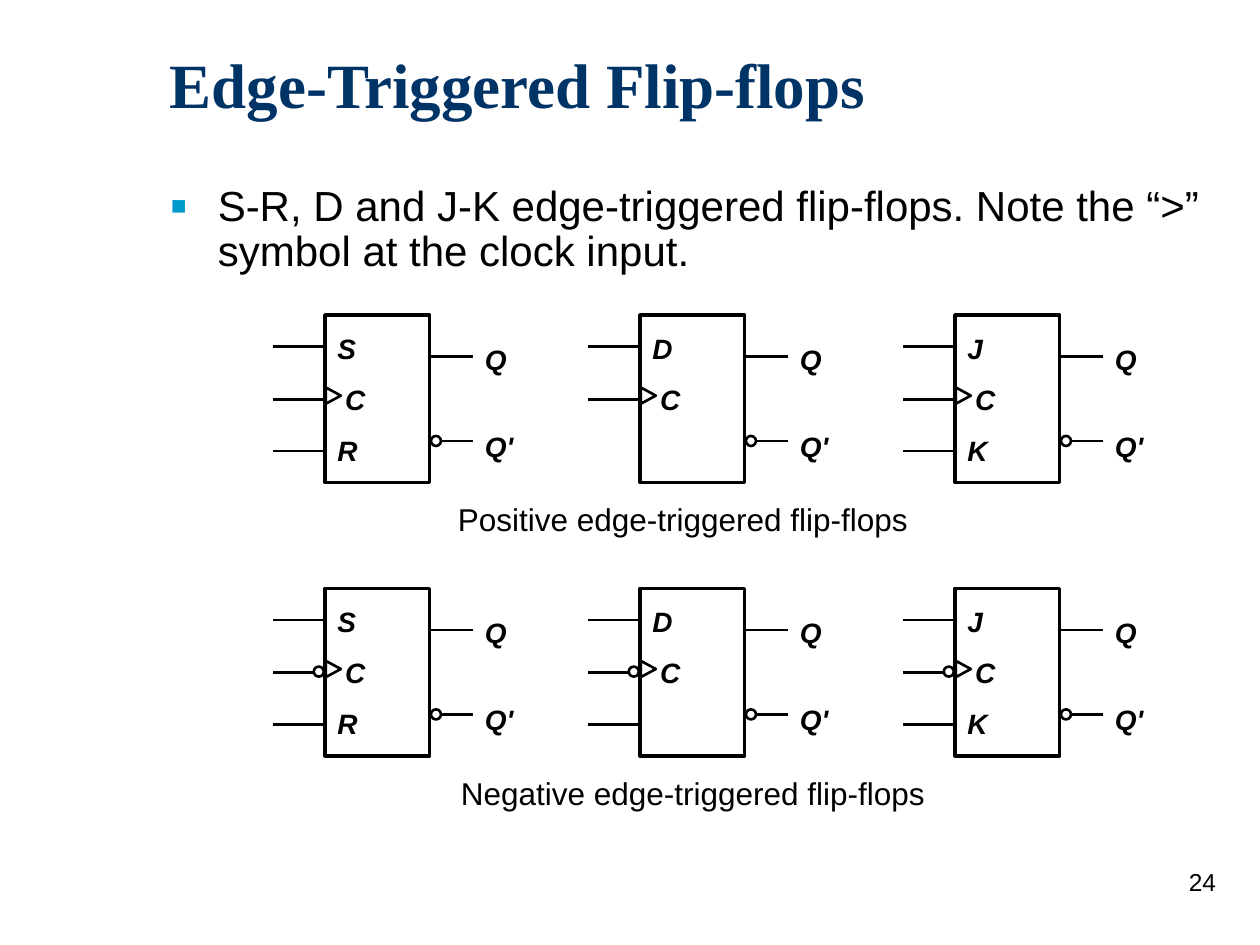
from lxml import etree
from pptx import Presentation
from pptx.dml.color import RGBColor
from pptx.enum.shapes import MSO_CONNECTOR, MSO_SHAPE
from pptx.enum.text import MSO_ANCHOR, PP_ALIGN
from pptx.oxml.ns import qn
from pptx.util import Inches, Pt

RECTANGLE = MSO_SHAPE.RECTANGLE
OVAL = MSO_SHAPE.OVAL
TRIANGLE = MSO_SHAPE.ISOSCELES_TRIANGLE
STRAIGHT = MSO_CONNECTOR.STRAIGHT
MIDDLE = MSO_ANCHOR.MIDDLE
CENTER = PP_ALIGN.CENTER
RIGHT = PP_ALIGN.RIGHT

INK = "000000"
NAVY = "003366"
BULLET_BLUE = "0099CC"
PIN_FONT = {"size": Pt(16), "bold": True, "italic": True}
BUBBLE = 0.08
COLUMN_LEFT, COLUMN_STEP = 2.58, 2.5
BODY_WIDTH, BODY_HEIGHT = 0.83, 1.33
LEAD = 0.41
INPUT_OFFSETS = (0.25, 0.67, 1.08)
CLOCK_OFFSET = INPUT_OFFSETS[1]
FLIP_FLOPS = (("S", "R"), ("D", None), ("J", "K"))
ROWS = (
    (2.5, False, 3.42, "Positive edge-triggered flip-flops"),
    (4.67, True, 3.5, "Negative edge-triggered flip-flops"),
)


def color(hex_value):
    return RGBColor.from_string(hex_value)


def apply_format(target, values):
    for attribute, value in values.items():
        setattr(target, attribute, value)


def add_text(shapes, bounds, lines, font, paragraph_format, ink=INK, face="Arial", anchor=None):
    label = shapes.add_textbox(*map(Inches, bounds))
    frame = label.text_frame
    frame.word_wrap = True
    if anchor is not None:
        frame.vertical_anchor = anchor
    for index, line in enumerate(lines):
        paragraph = frame.add_paragraph() if index else frame.paragraphs[0]
        apply_format(paragraph, paragraph_format)
        run = paragraph.add_run()
        run.text = line
        apply_format(run.font, {"name": face, **font})
        run.font.color.rgb = color(ink)
    return frame.paragraphs


def set_indent(paragraph, left, first=0):
    properties = paragraph._p.get_or_add_pPr()
    properties.set("marL", str(Inches(left)))
    properties.set("indent", str(Inches(first)))
    return properties


def add_bullet(paragraph, character, hex_value):
    properties = set_indent(paragraph, 0.38, -0.38)
    bullet_color = etree.SubElement(properties, qn("a:buClr"))
    etree.SubElement(bullet_color, qn("a:srgbClr"), val=hex_value)
    etree.SubElement(properties, qn("a:buSzPct"), val="120000")
    etree.SubElement(properties, qn("a:buFont"), typeface="Arial")
    etree.SubElement(properties, qn("a:buChar"), char=character)


def add_outline(shapes, kind, bounds, weight=1.5, rotation=0):
    outline = shapes.add_shape(kind, *map(Inches, bounds))
    outline.shadow.inherit = False
    outline.fill.background()
    outline.line.color.rgb = color(INK)
    outline.line.width = Pt(weight)
    outline.rotation = rotation


def add_wire(shapes, start, end, y):
    wire = shapes.add_connector(STRAIGHT, *map(Inches, (start, y, end, y)))
    wire.line.color.rgb = color(INK)
    wire.line.width = Pt(1.5)
    etree.SubElement(wire._element.spPr, qn("a:effectLst"))


def add_bubble(shapes, left, y):
    add_outline(shapes, OVAL, (left, y - BUBBLE / 2, BUBBLE, BUBBLE))


def add_inputs(shapes, left, top, first, last, negative):
    for offset in INPUT_OFFSETS:
        if offset == INPUT_OFFSETS[2] and not last and not negative:
            continue
        gap = BUBBLE if negative and offset == CLOCK_OFFSET else 0
        add_wire(shapes, left - LEAD, left - gap, top + offset)
    add_outline(shapes, TRIANGLE, (left, top + 0.58, 0.13, 0.12), rotation=90)
    if negative:
        add_bubble(shapes, left - 0.09, top + CLOCK_OFFSET - 0.01)
    names = [first, "C"] + ([last] if last else [])
    height = 1.18 if last else 0.77
    pins = add_text(shapes, (left, top + 0.08, 0.58, height), names,
                    PIN_FONT, {"space_before": Pt(10)})
    set_indent(pins[1], 0.06)


def add_outputs(shapes, right, top):
    end = right + 0.33
    add_wire(shapes, right, end, top + 0.33)
    add_bubble(shapes, right, top + 1)
    add_wire(shapes, right + BUBBLE, end, top + 1)
    pins = add_text(shapes, (end, top + 0.17, 0.5, 1.07), ["Q", "Q'"],
                    PIN_FONT, {"space_before": Pt(6)})
    pins[1].space_before = Pt(30.4)


def add_flip_flop(slide, left, top, first, last, negative):
    shapes = slide.shapes.add_group_shape().shapes
    add_outline(shapes, RECTANGLE, (left, top, BODY_WIDTH, BODY_HEIGHT), weight=2)
    add_inputs(shapes, left, top, first, last, negative)
    add_outputs(shapes, left + BODY_WIDTH + 0.01, top)


def main():
    presentation = Presentation()
    presentation.slide_width = Inches(10)
    presentation.slide_height = Inches(7.5)
    slide = presentation.slides.add_slide(presentation.slide_layouts[6])

    add_text(slide.shapes, (7.67, 6.83, 2.08, 0.5), ["24"], {"size": Pt(14)},
             {"alignment": RIGHT, "space_before": Pt(8.8)})
    add_text(slide.shapes, (1.25, 0.25, 8.5, 0.83), ["Edge-Triggered Flip-flops"],
             {"size": Pt(36), "bold": True}, {}, NAVY, "Times New Roman", MIDDLE)
    note = add_text(
        slide.shapes, (1.25, 1.42, 8.42, 0.83),
        ["S-R, D and J-K edge-triggered flip-flops. Note the “>” symbol at the clock input."],
        {"size": Pt(24)}, {"line_spacing": 0.9, "space_before": Pt(12)})
    add_bullet(note[0], "▪", BULLET_BLUE)

    for top, negative, caption_left, caption in ROWS:
        for column, (first, last) in enumerate(FLIP_FLOPS):
            left = COLUMN_LEFT + column * COLUMN_STEP
            add_flip_flop(slide, left, top, first, last, negative)
        add_text(slide.shapes, (caption_left, top + 1.42, 4, 0.4), [caption],
                 {"size": Pt(18)}, {"alignment": CENTER, "space_before": Pt(11.2)})

    presentation.save("out.pptx")


if __name__ == "__main__":
    main()
